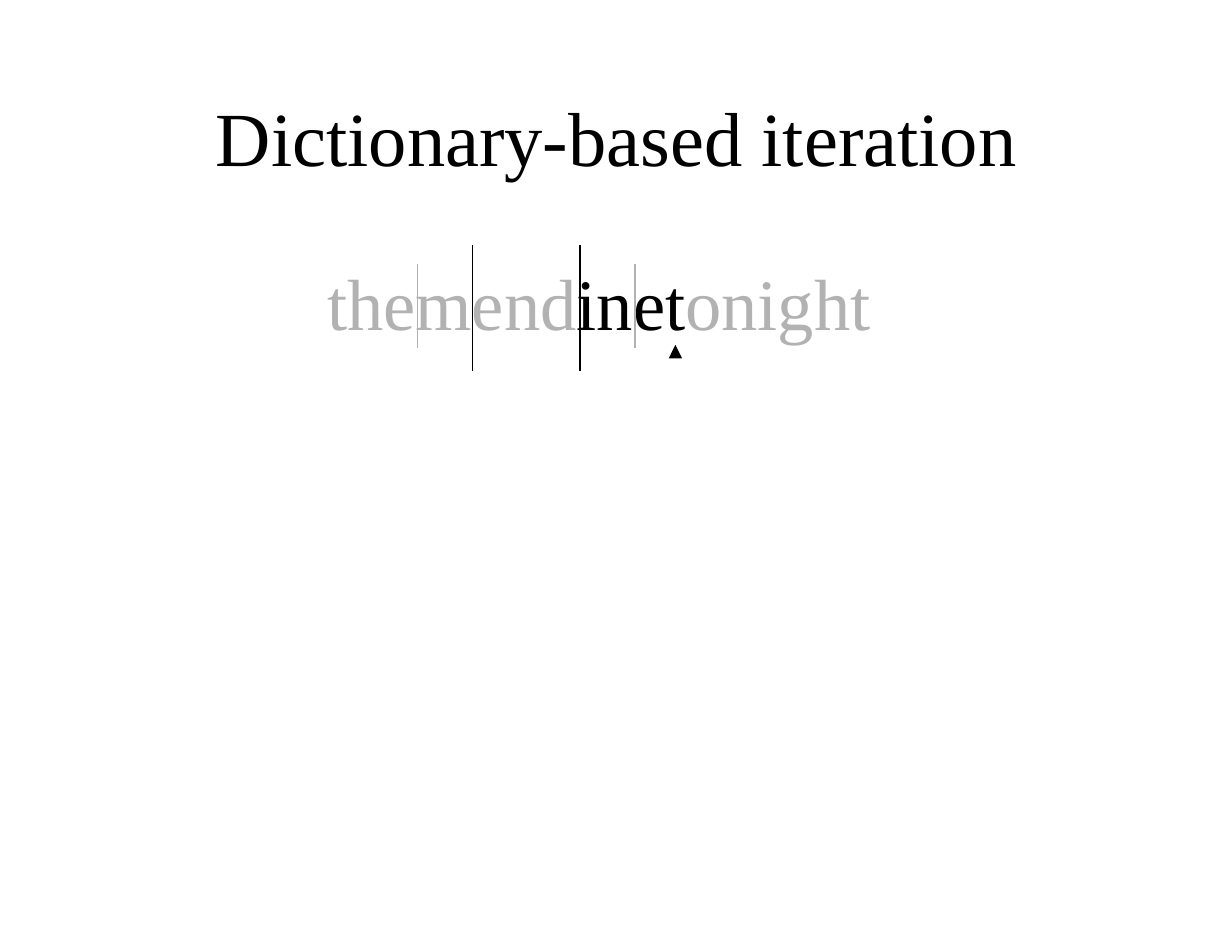
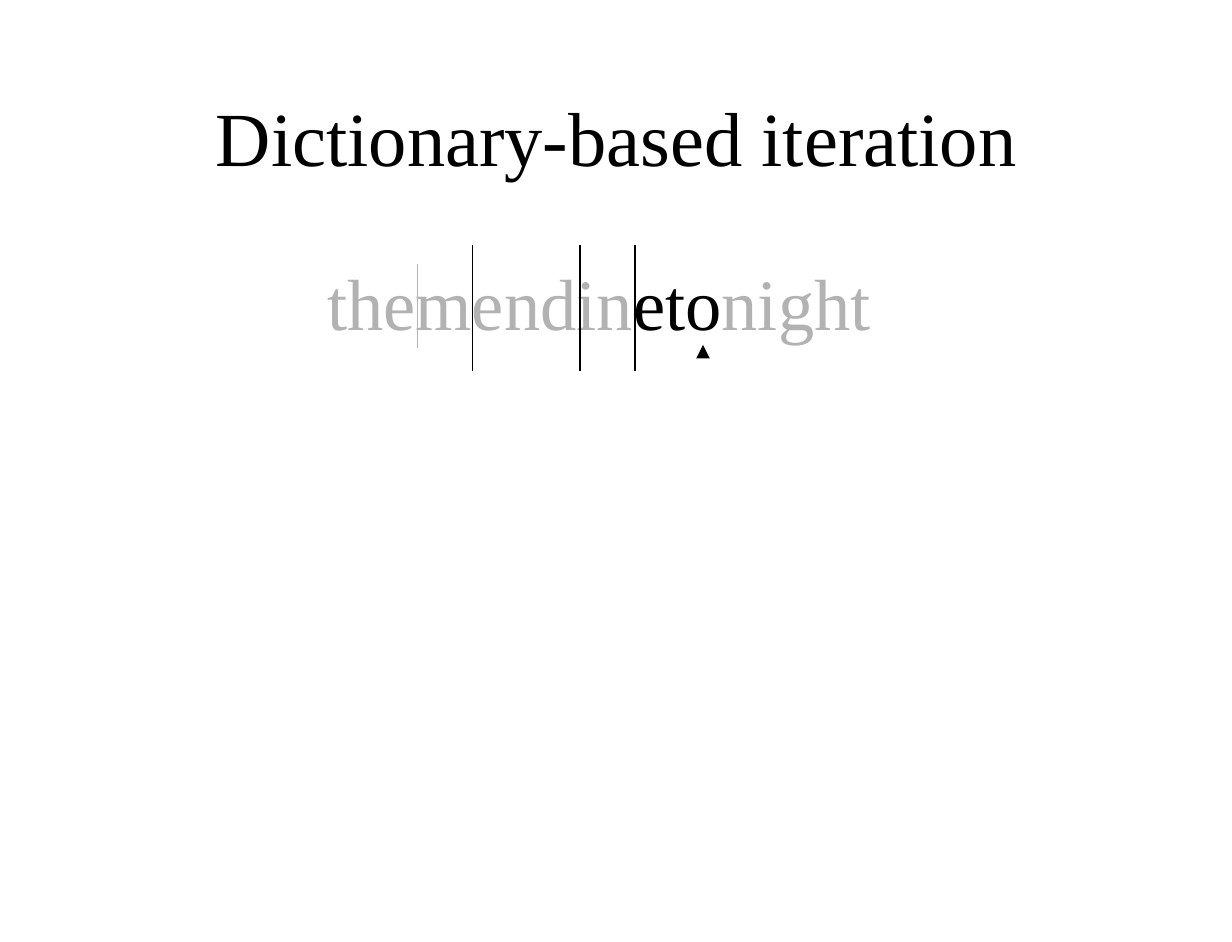
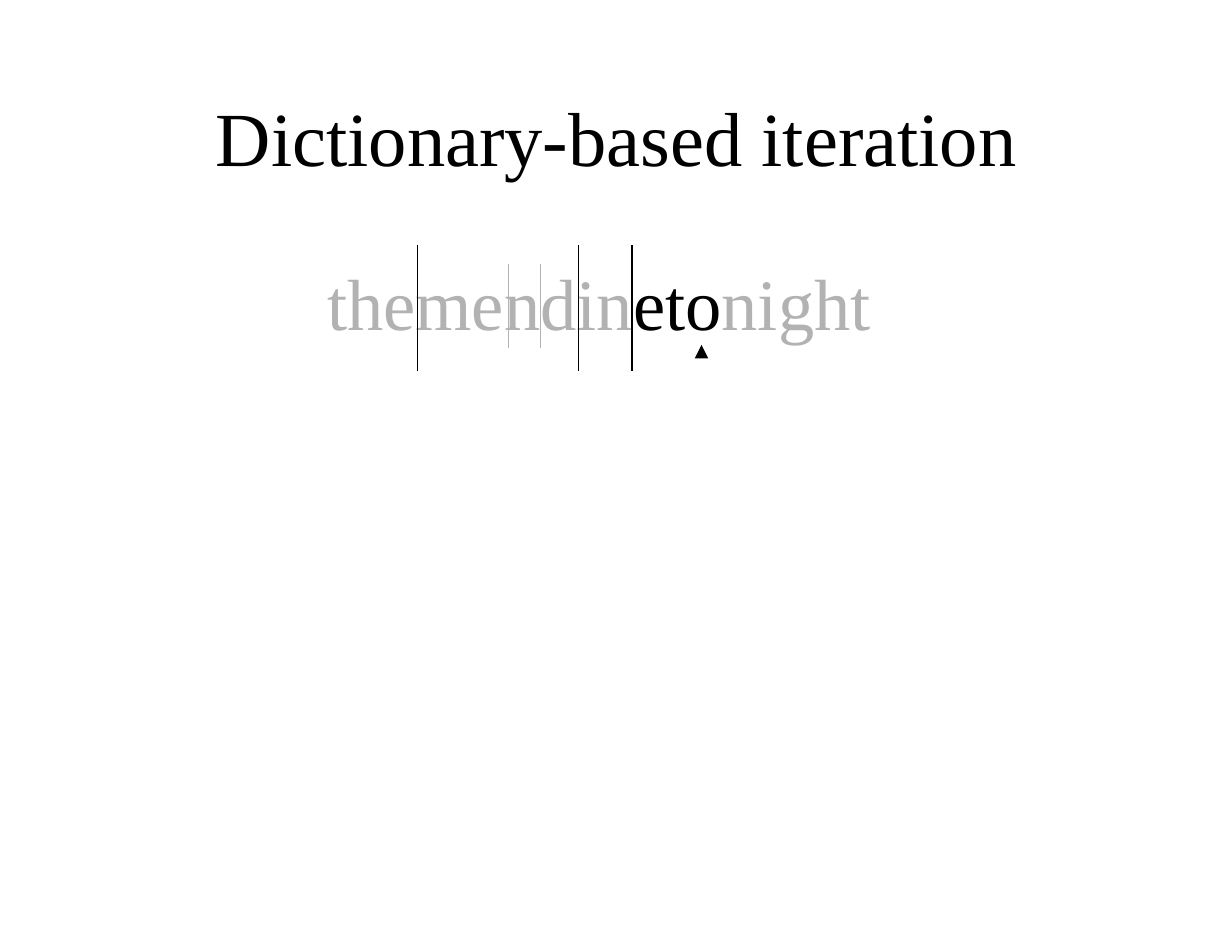
from dataclasses import dataclass

from lxml import etree
from pptx import Presentation
from pptx.dml.color import RGBColor
from pptx.enum.shapes import MSO_CONNECTOR
from pptx.enum.text import MSO_ANCHOR, MSO_AUTO_SIZE, PP_ALIGN
from pptx.oxml.ns import qn
from pptx.util import Inches, Pt

STRAIGHT = MSO_CONNECTOR.STRAIGHT
TOP = MSO_ANCHOR.TOP
NO_FIT = MSO_AUTO_SIZE.NONE
CENTER = PP_ALIGN.CENTER
LEFT = PP_ALIGN.LEFT
TITLE_ONLY = 5


@dataclass(frozen=True)
class Theme:
    font: str = "Times New Roman"
    active: RGBColor = RGBColor(0x00, 0x00, 0x00)
    inactive: RGBColor = RGBColor(0xB2, 0xB2, 0xB2)
    title_size: Pt = Pt(38)
    letter_size: Pt = Pt(36)
    split_width: Pt = Pt(0.75)
    cursor_width: Pt = Pt(2.25)


THEME = Theme()
TITLE = "Dictionary-based iteration"
TITLE_BOX = (0.64, 0.58, 7.23, 1.08)
LETTERS_BOX = (2.16, 1.73, 4.07, 0.7)
CHOSEN_SPAN = (-0.04, 0.83)
REJECTED_SPAN = (0.09, 0.67)
CURSOR_SPAN = (0.65, 0.66)

STEPS = [
    {
        "letters": ("themend", "inet", "onight"),
        "cursor": 2.5,
        "chosen": (1.1, 1.84),
        "rejected": (0.72, 2.22),
    },
    {
        "letters": ("themendin", "eto", "night"),
        "cursor": 2.69,
        "chosen": (1.1, 1.84, 2.22),
        "rejected": (0.72,),
    },
    {
        "letters": ("themendin", "eto", "night"),
        "cursor": 2.68,
        "chosen": (0.72, 1.83, 2.2),
        "rejected": (1.35, 1.57),
    },
]


def format_run(run, size, color):
    run.font.name = THEME.font
    run.font.size = size
    run.font.color.rgb = color


def set_frame(text_frame, margin_x, margin_y):
    text_frame.word_wrap = True
    text_frame.auto_size = NO_FIT
    text_frame.vertical_anchor = TOP
    text_frame.margin_left = text_frame.margin_right = Inches(margin_x)
    text_frame.margin_top = text_frame.margin_bottom = Inches(margin_y)


def add_title(slide, box):
    title = slide.shapes.title
    title.left, title.top, title.width, title.height = map(Inches, box)
    title.text_frame.text = TITLE
    set_frame(title.text_frame, 0.09, 0.04)
    paragraph = title.text_frame.paragraphs[0]
    paragraph.alignment = CENTER
    format_run(paragraph.runs[0], THEME.title_size, THEME.active)


def add_letters(slide, box, parts):
    text_box = slide.shapes.add_textbox(*map(Inches, box))
    set_frame(text_box.text_frame, 0.1, 0.05)
    paragraph = text_box.text_frame.paragraphs[0]
    paragraph.alignment = LEFT
    for part, color in zip(parts, (THEME.inactive, THEME.active, THEME.inactive)):
        run = paragraph.add_run()
        run.text = part
        format_run(run, THEME.letter_size, color)


def add_upward_line(slide, box, offset, span, color, width):
    left, top = box[:2]
    x = Inches(left + offset)
    upper, lower = (Inches(top + distance) for distance in span)
    line = slide.shapes.add_connector(STRAIGHT, x, lower, x, upper)
    line.line.color.rgb = color
    line.line.width = width
    etree.SubElement(line._element.spPr, qn("a:effectLst"))
    return line


def add_cursor(slide, box, offset):
    cursor = add_upward_line(
        slide, box, offset, CURSOR_SPAN, THEME.active, THEME.cursor_width
    )
    outline = cursor.line._get_or_add_ln()
    etree.SubElement(outline, qn("a:tailEnd"), type="triangle")


def add_segmentation(slide, box, step):
    add_letters(slide, box, step["letters"])
    add_cursor(slide, box, step["cursor"])
    for kind, span, color in (
        ("rejected", REJECTED_SPAN, THEME.inactive),
        ("chosen", CHOSEN_SPAN, THEME.active),
    ):
        for offset in step[kind]:
            add_upward_line(slide, box, offset, span, color, THEME.split_width)


def main():
    presentation = Presentation()
    presentation.slide_width = Inches(8.5)
    presentation.slide_height = Inches(6.5)
    for step in STEPS:
        slide = presentation.slides.add_slide(presentation.slide_layouts[TITLE_ONLY])
        add_title(slide, TITLE_BOX)
        add_segmentation(slide, LETTERS_BOX, step)
    presentation.save("out.pptx")


if __name__ == "__main__":
    main()
